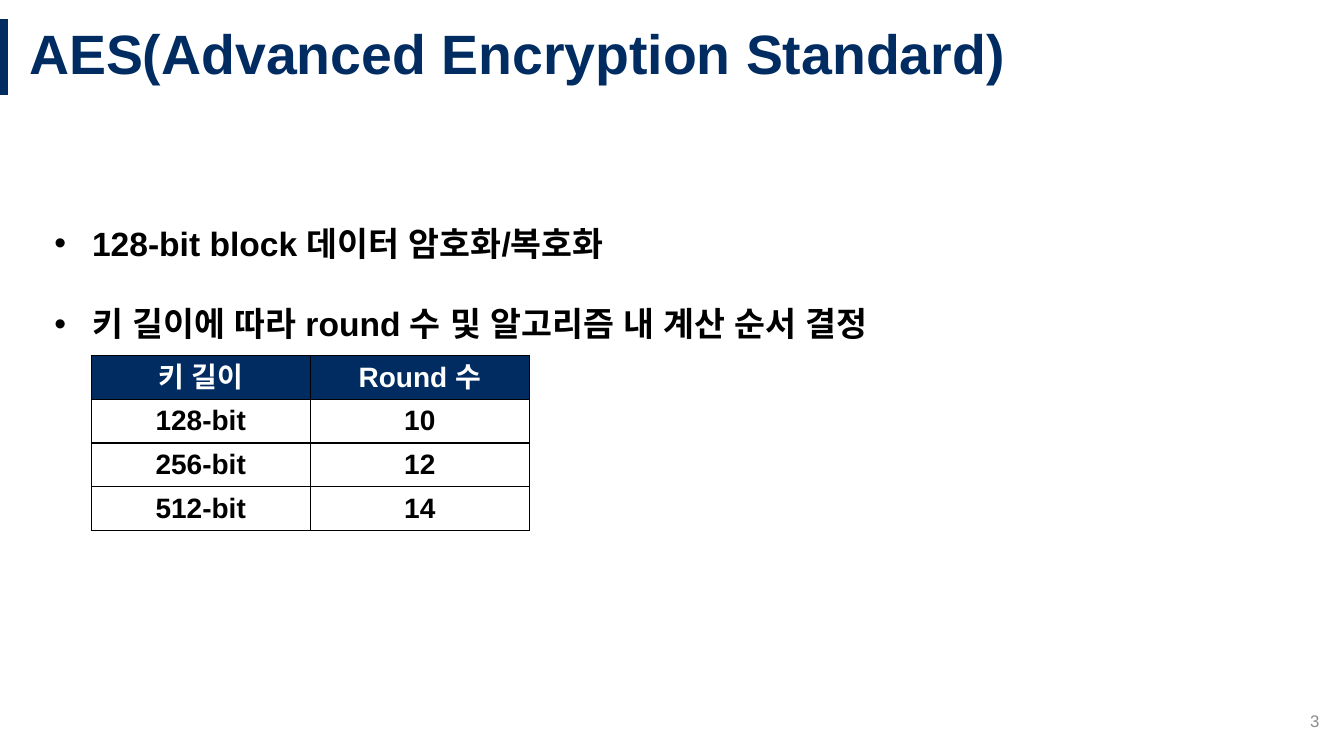
from lxml.etree import SubElement
from pptx import Presentation
from pptx.dml.color import RGBColor
from pptx.enum.shapes import MSO_CONNECTOR
from pptx.enum.text import MSO_ANCHOR, MSO_AUTO_SIZE, PP_ALIGN
from pptx.oxml.ns import qn
from pptx.util import Cm, Pt

COLORS = {"navy": "002C62", "black": "000000", "white": "FFFFFF", "gray": "8C8C8C"}
FONT = "Arial"
FORMATS = {
    "title": {"size": Pt(39.6), "bold": True, "color": "navy"},
    "bullet": {"size": Pt(24), "bold": True, "color": "black"},
    "header": {"size": Pt(20), "bold": True, "color": "white"},
    "body": {"size": Pt(20), "bold": True, "color": "black"},
    "number": {"size": Pt(12), "bold": False, "color": "gray"},
}
BULLETS = ["128-bit block 데이터 암호화/복호화", "키 길이에 따라 round 수 및 알고리즘 내 계산 순서 결정"]
ROUNDS = [("키 길이", "Round 수"), ("128-bit", "10"), ("256-bit", "12"), ("512-bit", "14")]


def write_span(para, text, style):
    span = para.add_run()
    span.text = text
    span.font.name = FONT
    for name, value in FORMATS[style].items():
        if name == "color":
            span.font.color.rgb = RGBColor.from_string(COLORS[value])
        else:
            setattr(span.font, name, value)
    SubElement(span.font._element, qn("a:ea"), typeface=FONT)


def add_heading(page, left, top, width, height):
    accent = page.shapes.add_connector(
        MSO_CONNECTOR.STRAIGHT, left, top, left, top + height
    )
    accent.line.color.rgb = RGBColor.from_string(COLORS["navy"])
    accent.line.width = Pt(6)
    SubElement(accent._element.spPr, qn("a:effectLst"))
    title = page.shapes.title
    indent = Cm(0.38)
    title.left, title.top = left + indent, top
    title.width, title.height = width - indent, height
    frame = title.text_frame
    frame.vertical_anchor = MSO_ANCHOR.MIDDLE
    frame.auto_size = MSO_AUTO_SIZE.NONE
    para = frame.paragraphs[0]
    para.alignment = PP_ALIGN.LEFT
    para.line_spacing = 0.9
    write_span(para, "AES(Advanced Encryption Standard)", "title")


def add_bullets(page, left, top, width, height):
    frame = page.shapes.add_textbox(left, top, width, height).text_frame
    frame.word_wrap = False
    frame.auto_size = MSO_AUTO_SIZE.SHAPE_TO_FIT_TEXT
    for index, text in enumerate(BULLETS):
        para = frame.add_paragraph() if index else frame.paragraphs[0]
        para.line_spacing = 2.0
        properties = para._p.get_or_add_pPr()
        properties.set("marL", str(Cm(0.95)))
        properties.set("indent", str(-Cm(0.95)))
        SubElement(properties, qn("a:buFont"), typeface=FONT)
        SubElement(properties, qn("a:buChar"), char="•")
        write_span(para, text, "bullet")


def add_borders(cell):
    properties = cell._tc.get_or_add_tcPr()
    for side in ("lnL", "lnR", "lnT", "lnB"):
        line = SubElement(properties, qn(f"a:{side}"), w=str(Pt(1)))
        fill = SubElement(line, qn("a:solidFill"))
        SubElement(fill, qn("a:srgbClr"), val=COLORS["black"])


def add_round_table(page, left, top, width, height):
    table = page.shapes.add_table(
        len(ROUNDS), len(ROUNDS[0]), left, top, width, height
    ).table
    table.horz_banding = False
    for row_index, values in enumerate(ROUNDS):
        for column_index, text in enumerate(values):
            cell = table.cell(row_index, column_index)
            cell.vertical_anchor = MSO_ANCHOR.MIDDLE
            add_borders(cell)
            if row_index == 0:
                cell.fill.solid()
                cell.fill.fore_color.rgb = RGBColor.from_string(COLORS["navy"])
            else:
                cell.fill.background()
            para = cell.text_frame.paragraphs[0]
            para.alignment = PP_ALIGN.CENTER
            write_span(para, text, "body" if row_index else "header")


def add_page_number(page, left, top, width, height):
    frame = page.shapes.add_textbox(left, top, width, height).text_frame
    frame.word_wrap = True
    frame.vertical_anchor = MSO_ANCHOR.MIDDLE
    para = frame.paragraphs[0]
    para.alignment = PP_ALIGN.RIGHT
    write_span(para, "3", "number")


def main():
    deck = Presentation()
    deck.slide_width, deck.slide_height = Cm(33.87), Cm(19.05)
    page = deck.slides.add_slide(deck.slide_layouts[5])
    add_heading(page, Cm(0.1), Cm(0.48), Cm(33.77), Cm(1.91))
    add_bullets(page, Cm(1.12), Cm(4.47), Cm(22.5), Cm(4.04))
    add_round_table(page, Cm(2.3), Cm(8.96), Cm(11.04), Cm(4.4))
    add_page_number(page, Cm(25.88), Cm(17.65), Cm(7.62), Cm(1.02))
    deck.save("out.pptx")


if __name__ == "__main__":
    main()
